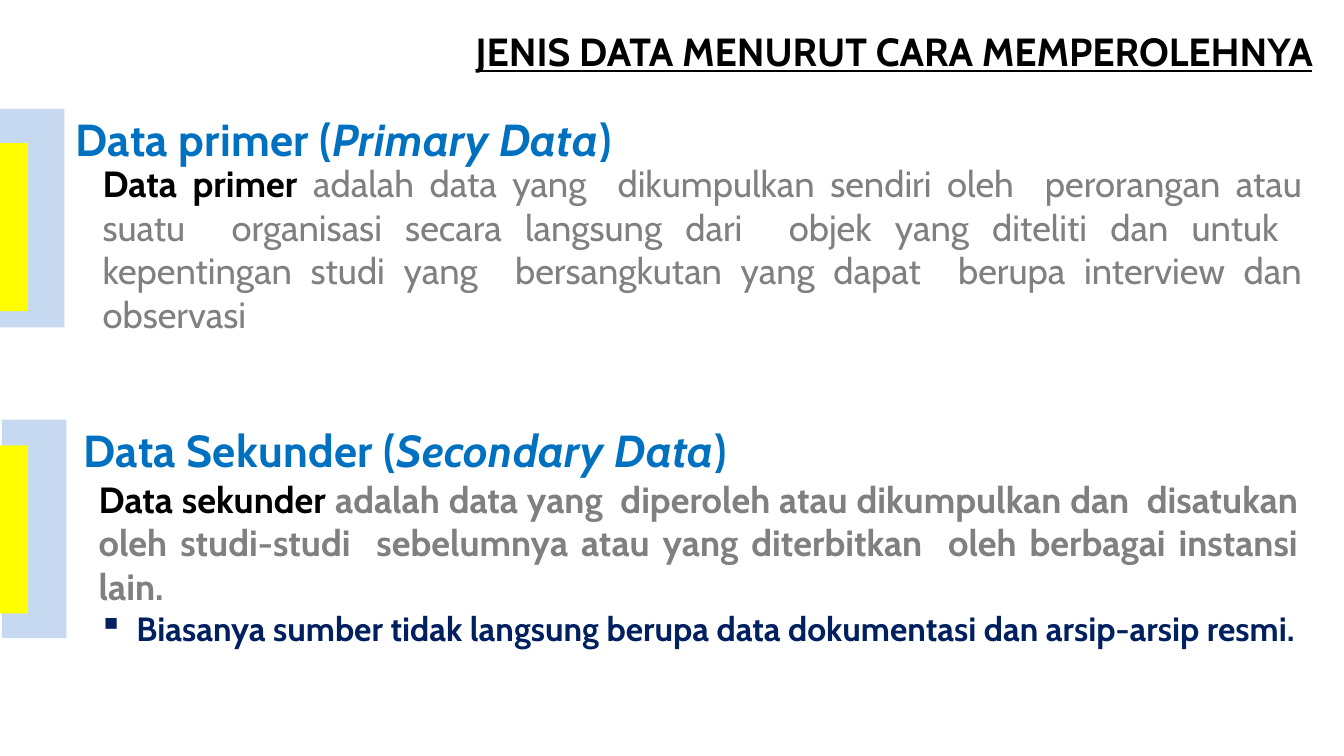
from lxml import etree
from pptx import Presentation
from pptx.dml.color import RGBColor
from pptx.enum.shapes import MSO_SHAPE
from pptx.enum.text import MSO_AUTO_SIZE, PP_ALIGN
from pptx.oxml.ns import qn
from pptx.util import Pt

RECTANGLE = MSO_SHAPE.RECTANGLE
GROW = MSO_AUTO_SIZE.SHAPE_TO_FIT_TEXT
JUSTIFY = PP_ALIGN.JUSTIFY

BLACK = RGBColor(0x00, 0x00, 0x00)
GRAY = RGBColor(0x80, 0x80, 0x80)
BLUE = RGBColor(0x00, 0x70, 0xC0)
NAVY = RGBColor(0x00, 0x20, 0x60)
PALE_BLUE = RGBColor(0xC6, 0xD9, 0xF1)
YELLOW = RGBColor(0xFF, 0xFF, 0x00)

FONT = "Cabin"


def add_text(page, box, tight=False):
    frame = page.shapes.add_textbox(*map(Pt, box)).text_frame
    frame.word_wrap = True
    frame.auto_size = GROW
    if tight:
        frame.margin_left = frame.margin_right = frame.margin_bottom = 0
        frame.margin_top = Pt(1)
    return frame


def set_font(para, size, color):
    para.font.name = FONT
    para.font.size = Pt(size)
    para.font.color.rgb = color


def add_span(para, text):
    span = para.add_run()
    span.text = text
    return span


def indent(para, left, first=0):
    properties = para._p.get_or_add_pPr()
    properties.set("marL", str(Pt(left)))
    properties.set("indent", str(Pt(first)))
    return properties


def add_bar(page, box, color):
    bar = page.shapes.add_shape(RECTANGLE, *map(Pt, box))
    bar.shadow.inherit = False
    bar.fill.solid()
    bar.fill.fore_color.rgb = color
    bar.line.fill.background()


def add_title(page, box, text):
    para = add_text(page, box, tight=True).paragraphs[0]
    indent(para, 86.4)
    para.space_before = Pt(1)
    set_font(para, 28, BLACK)
    para.font.bold = True
    para.font.underline = True
    add_span(para, text)


def add_heading(page, box, name, english):
    para = add_text(page, box, tight=True).paragraphs[0]
    para.line_spacing = 1.5
    para.space_before = Pt(0.9)
    set_font(para, 32, BLUE)
    para.font.bold = True
    for text in (f"{name} (", english, ")"):
        span = add_span(para, text)
        span.font.italic = text == english
        span._r.get_or_add_rPr().set("spc", "20")


def add_definition(page, box, term, meaning, bold, note):
    frame = add_text(page, box)
    para = frame.paragraphs[0]
    para.alignment = JUSTIFY
    set_font(para, 26, GRAY)
    para.font.bold = bold
    lead = add_span(para, term)
    lead.font.bold = True
    lead.font.color.rgb = BLACK
    add_span(para, meaning)
    if note:
        para = frame.add_paragraph()
        para.alignment = JUSTIFY
        properties = indent(para, 27, -27)
        etree.SubElement(properties, qn("a:buChar")).set("char", "▪")
        set_font(para, 24, NAVY)
        para.font.bold = True
        add_span(para, note)


def add_section(page, top, bar_left, yellow_drop, heading_left, body_left,
                body_drop, body_height, name, english, term, meaning,
                bold=False, note=None):
    add_heading(page, (heading_left, top - 18, 818, 52), name, english)
    add_definition(page, (body_left, top + body_drop, 872, body_height),
                   term, meaning, bold, note)
    add_bar(page, (bar_left, top, 46, 156), PALE_BLUE)
    add_bar(page, (0, top + yellow_drop, 20, 120), YELLOW)


def main():
    deck = Presentation()
    deck.slide_width, deck.slide_height = Pt(960), Pt(540)
    page = deck.slides.add_slide(deck.slide_layouts[6])
    add_title(page, (253.4, 18.7, 706.3, 35.3),
              "JENIS DATA MENURUT CARA MEMPEROLEHNYA")
    add_section(
        page, top=77.8, bar_left=0, yellow_drop=24.4, heading_left=54,
        body_left=66.2, body_drop=33.8, body_height=133,
        name="Data primer", english="Primary Data", term="Data primer ",
        meaning="adalah data yang  dikumpulkan sendiri oleh  perorangan atau "
                "suatu  organisasi secara langsung dari  objek yang diteliti "
                "dan untuk  kepentingan studi yang  bersangkutan yang dapat  "
                "berupa interview dan observasi")
    add_section(
        page, top=299.8, bar_left=1.4, yellow_drop=18.4, heading_left=59.8,
        body_left=63.4, body_drop=37.2, body_height=165,
        name="Data Sekunder", english="Secondary Data", term="Data sekunder ",
        meaning="adalah data yang  diperoleh atau dikumpulkan dan  disatukan "
                "oleh studi-studi  sebelumnya atau yang diterbitkan  oleh "
                "berbagai instansi lain.",
        bold=True,
        note="Biasanya sumber tidak langsung berupa data dokumentasi dan "
             "arsip-arsip resmi.")
    deck.save("out.pptx")


if __name__ == "__main__":
    main()
